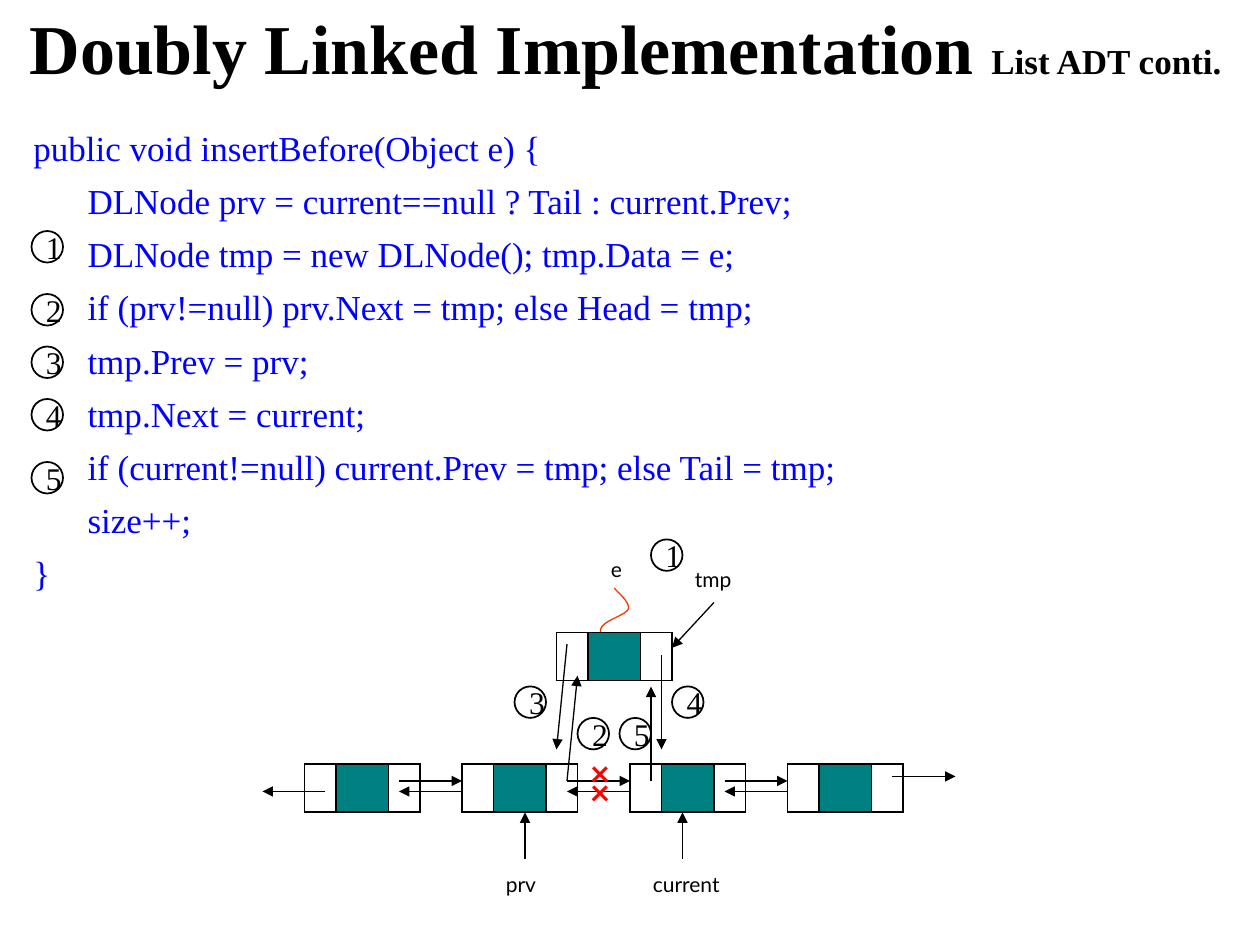
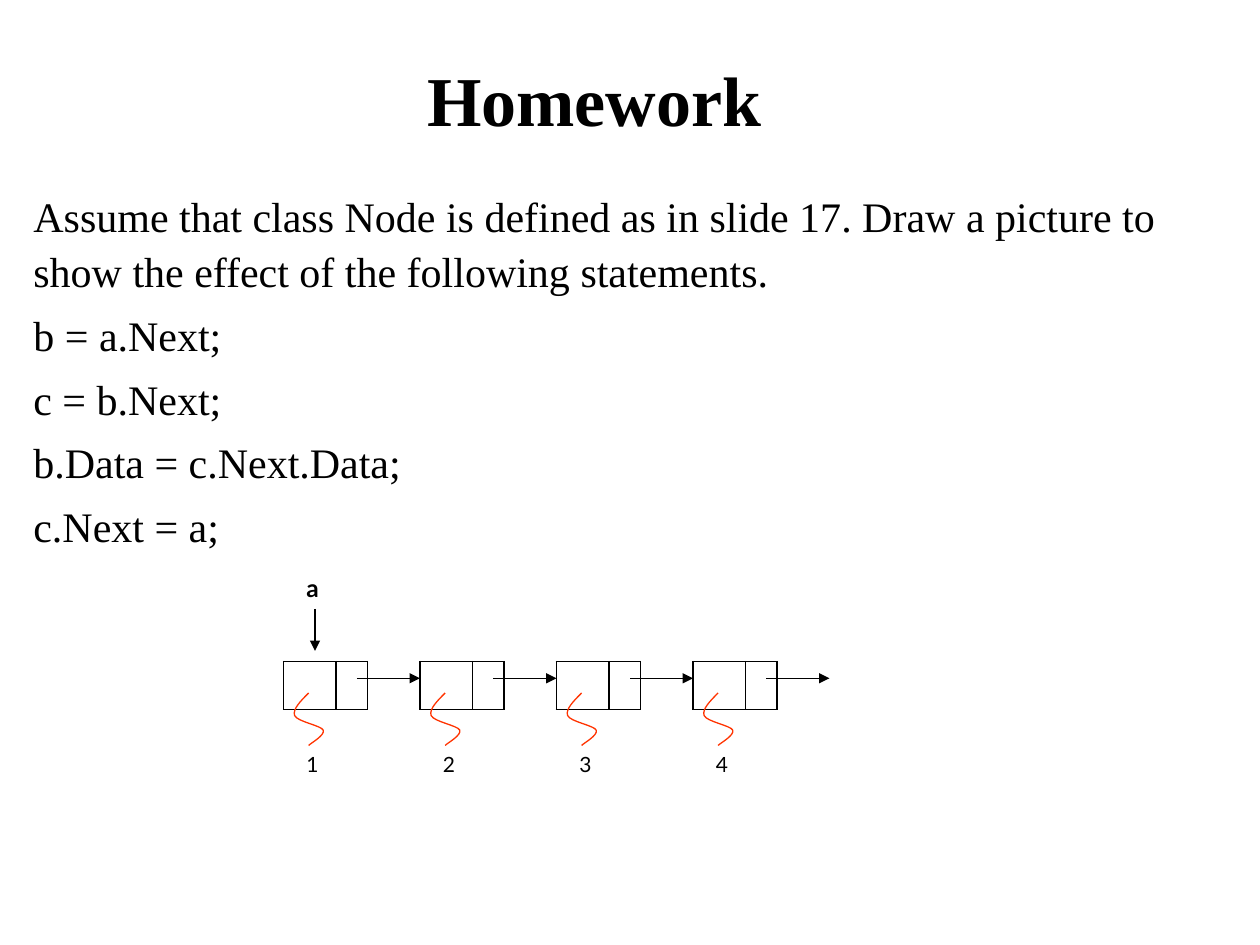
from dataclasses import dataclass

from lxml.etree import SubElement
from pptx import Presentation
from pptx.dml.color import RGBColor
from pptx.enum.shapes import MSO_CONNECTOR, MSO_SHAPE
from pptx.enum.text import MSO_ANCHOR, MSO_AUTO_SIZE, PP_ALIGN
from pptx.oxml.ns import qn
from pptx.util import Inches, Pt


@dataclass(frozen=True)
class Theme:
    serif: str = "Times New Roman"
    sans: str = "Lato"
    ink: str = "000000"
    code: str = "0000FF"
    data: str = "008080"
    pointer: str = "FF3300"
    cross: str = "FF0000"
    title_size: int = 40
    subtitle_size: int = 20
    body_size: int = 24
    code_size: int = 20
    step_size: int = 18
    name_size: int = 14
    label_size: int = 12
    cross_size: int = 20
    thin: float = 0.75
    outline: float = 1


THEME = Theme()
COLUMNS, ROWS = 120, 90  # twelve grid steps to the inch
LABEL_HEIGHT = 3.6
NODE_HEIGHT = 4.56
STEP_DIAMETER = 3
# Cubic curve in a unit square: start, then two controls and an end per segment
SQUIGGLE = [(0.5, 0), (0.26, 0.15), (0, 0.31), (0.07, 0.43), (0.15, 0.55),
            (0.89, 0.62), (0.95, 0.71), (1, 0.81), (0.58, 0.95), (0.5, 1)]


def grid(*steps):
    """Turn grid steps into slide lengths."""
    return [Inches(step / 12) for step in steps]


def color(value):
    return RGBColor.from_string(value)


def add_run(paragraph, text, size, font=THEME.serif, ink=THEME.ink, bold=False):
    run = paragraph.add_run()
    run.text = text
    run.font.name = font
    run.font.size = Pt(size)
    run.font.bold = bold
    run.font.color.rgb = color(ink)


def add_title(slide, box, text, suffix):
    title = slide.shapes.title
    title.left, title.top, title.width, title.height = grid(*box)
    frame = title.text_frame
    frame.auto_size = MSO_AUTO_SIZE.NONE
    frame.vertical_anchor = MSO_ANCHOR.BOTTOM
    paragraph = frame.paragraphs[0]
    paragraph.alignment = PP_ALIGN.CENTER
    add_run(paragraph, text, THEME.title_size, bold=True)
    add_run(paragraph, suffix, THEME.subtitle_size, bold=True)


def add_text_frame(slide, box):
    frame = slide.shapes.add_textbox(*grid(*box)).text_frame
    frame.word_wrap = True
    return frame


def add_body(slide, box, lines, size, ink):
    """Write (indent level, text) lines, one paragraph each."""
    frame = add_text_frame(slide, box)
    for index, (level, text) in enumerate(lines):
        paragraph = frame.add_paragraph() if index else frame.paragraphs[0]
        paragraph.line_spacing = 1.1
        if index:
            paragraph.space_before = Pt(size * 0.2)
        if level:
            paragraph._p.get_or_add_pPr().set("marL", str(Inches(0.43 * level)))
        add_run(paragraph, text, size, ink=ink)


def add_label(slide, left, top, text, width, height=LABEL_HEIGHT,
              size=THEME.label_size, ink=THEME.ink, bold=False):
    frame = add_text_frame(slide, (left, top, width, height))
    add_run(frame.paragraphs[0], text, size, THEME.sans, ink, bold)


def add_arrow(slide, start, end):
    connector = slide.shapes.add_connector(
        MSO_CONNECTOR.STRAIGHT, *grid(*start, *end))
    connector.line.color.rgb = color(THEME.ink)
    connector.line.width = Pt(THEME.thin)
    SubElement(connector.line._get_or_add_ln(), qn("a:tailEnd"), type="triangle")
    SubElement(connector._element.spPr, qn("a:effectLst"))


def add_step(slide, left, top, number):
    step = slide.shapes.add_shape(
        MSO_SHAPE.OVAL, *grid(left, top, STEP_DIAMETER, STEP_DIAMETER))
    step.shadow.inherit = False
    step.fill.background()
    step.line.color.rgb = color(THEME.ink)
    step.line.width = Pt(THEME.outline)
    frame = step.text_frame
    frame.vertical_anchor = MSO_ANCHOR.MIDDLE
    paragraph = frame.paragraphs[0]
    paragraph.alignment = PP_ALIGN.CENTER
    add_run(paragraph, str(number), THEME.step_size)


def add_borders(cell):
    properties = cell._tc.get_or_add_tcPr()
    for side in ("lnL", "lnR", "lnT", "lnB"):
        line = SubElement(properties, qn(f"a:{side}"), w=str(Pt(THEME.outline)))
        fill = SubElement(line, qn("a:solidFill"))
        SubElement(fill, qn("a:srgbClr"), val=THEME.ink)


def add_node(slide, left, top, widths, data_column=None):
    """Draw a list node as a one-row table, with its data cell filled."""
    box = grid(left, top, sum(widths), NODE_HEIGHT)
    table = slide.shapes.add_table(1, len(widths), *box).table
    table.first_row = table.horz_banding = False
    for index, width in enumerate(grid(*widths)):
        table.columns[index].width = width
        cell = table.cell(0, index)
        cell.margin_left = cell.margin_right = 0
        cell.margin_top = cell.margin_bottom = 0
        add_borders(cell)
        if index == data_column:
            cell.fill.solid()
            cell.fill.fore_color.rgb = color(THEME.data)
        else:
            cell.fill.background()


def bend_segments(freeform):
    """Turn each three straight segments into one cubic curve."""
    lines = list(freeform._element.iter(qn("a:lnTo")))
    outline = lines[0].getparent()
    for first in range(0, len(lines), 3):
        curve = SubElement(outline, qn("a:cubicBezTo"))
        for line in lines[first:first + 3]:
            curve.append(line[0])
            outline.remove(line)


def add_squiggle(slide, left, top, width, height, mirrored=False, rotation=0):
    points = [grid(left + (1 - x if mirrored else x) * width, top + y * height)
              for x, y in SQUIGGLE]
    builder = slide.shapes.build_freeform(*points[0])
    builder.add_line_segments(points[1:], close=False)
    squiggle = builder.convert_to_shape()
    bend_segments(squiggle)
    squiggle.shadow.inherit = False
    squiggle.fill.background()
    squiggle.line.color.rgb = color(THEME.pointer)
    squiggle.line.width = Pt(THEME.thin)
    squiggle.rotation = rotation


def add_slide(presentation):
    return presentation.slides.add_slide(presentation.slide_layouts[5])


def add_insert_diagram(slide):
    node_widths, list_top, next_row, previous_row = (3, 5, 3), 72.75, 74.38, 75.38
    add_squiggle(slide, 57, 56, 3, 6.8, mirrored=True, rotation=180)
    add_node(slide, 53, 60.25, node_widths, data_column=1)
    for left in (29, 44, 60, 75):
        add_node(slide, left, list_top, node_widths, data_column=1)
    for left in (38, 54, 69):
        add_arrow(slide, (left, next_row), (left + 6, next_row))
    add_arrow(slide, (85, 73.95), (91, 73.95))
    for left in (25, 38, 54, 69):
        add_arrow(slide, (left + 6, previous_row), (left, previous_row))

    new_links = [((54, next_row), (55, 64.35)), ((54, 61.35), (53, 71.38)),
                 ((63, 62.4), (63, 71.38)), ((62, next_row), (62, 65.4))]
    for start, end in new_links:
        add_arrow(slide, start, end)
    add_arrow(slide, (68, 57.38), (64, 61.7))
    for center in (50, 65):
        add_arrow(slide, (center, 81.8), (center, 77.38))

    for top in (71, 72.75):
        add_label(slide, 55, top, "×", 3, 5.3, THEME.cross_size, THEME.cross,
                  bold=True)
    for left, top, text, width in ((57, 52.37, "e", 4), (65, 53.38, "tmp", 8),
                                   (47, 82.37, "prv", 11),
                                   (61, 82.37, "current", 11)):
        add_label(slide, left, top, text, width)
    places = [(62, 51.37), (55, 68.37), (49, 65.37), (64, 65.37), (59, 68.37)]
    for number, (left, top) in enumerate(places, start=1):
        add_step(slide, left, top, number)


def build_insert_slide(presentation):
    slide = add_slide(presentation)
    add_title(slide, (0, 2, COLUMNS, 7), "Doubly Linked Implementation ",
              "List ADT conti. ")
    code = [
        (0, "public void insertBefore(Object e) {"),
        (1, "DLNode prv = current==null ? Tail : current.Prev;"),
        (1, "DLNode tmp = new DLNode(); tmp.Data = e;"),
        (1, "if (prv!=null) prv.Next = tmp; else Head = tmp;"),
        (1, "tmp.Prev = prv;"),
        (1, "tmp.Next = current;"),
        (1, "if (current!=null) current.Prev = tmp; else Tail = tmp;"),
        (1, "size++;"),
        (0, "}"),
    ]
    add_body(slide, (2, 11.04, 114, 45), code, THEME.code_size, THEME.code)
    for number, top in enumerate((22, 28, 33, 38, 44), start=1):
        add_step(slide, 3, top, number)
    add_insert_diagram(slide)


def build_homework_slide(presentation):
    slide = add_slide(presentation)
    add_title(slide, (5, 6, 104, 8), "Homework", " ")
    statements = [
        "Assume that class Node is defined as in slide 17. Draw a picture to "
        "show the effect of the following statements.",
        "b = a.Next;",
        "c = b.Next;",
        "b.Data = c.Next.Data;",
        "c.Next = a;",
    ]
    add_body(slide, (2, 17.03, 115, 38), [(0, text) for text in statements],
             THEME.body_size, THEME.ink)
    add_label(slide, 28, 54, "a", 3.8, 4, THEME.name_size, bold=True)
    add_arrow(slide, (30, 58), (30, 62))
    for index in range(4):
        left = 27 + 13 * index
        add_node(slide, left, 63, (5, 3))
        add_arrow(slide, (left + 7, 64.6), (left + 13, 64.6))
        add_squiggle(slide, left + 0.85, 66, 3.1, 5)
        add_label(slide, left + 1, 71, str(index + 1), 3)


def main():
    presentation = Presentation()
    presentation.slide_width, presentation.slide_height = grid(COLUMNS, ROWS)
    build_insert_slide(presentation)
    build_homework_slide(presentation)
    presentation.save("out.pptx")


if __name__ == "__main__":
    main()
